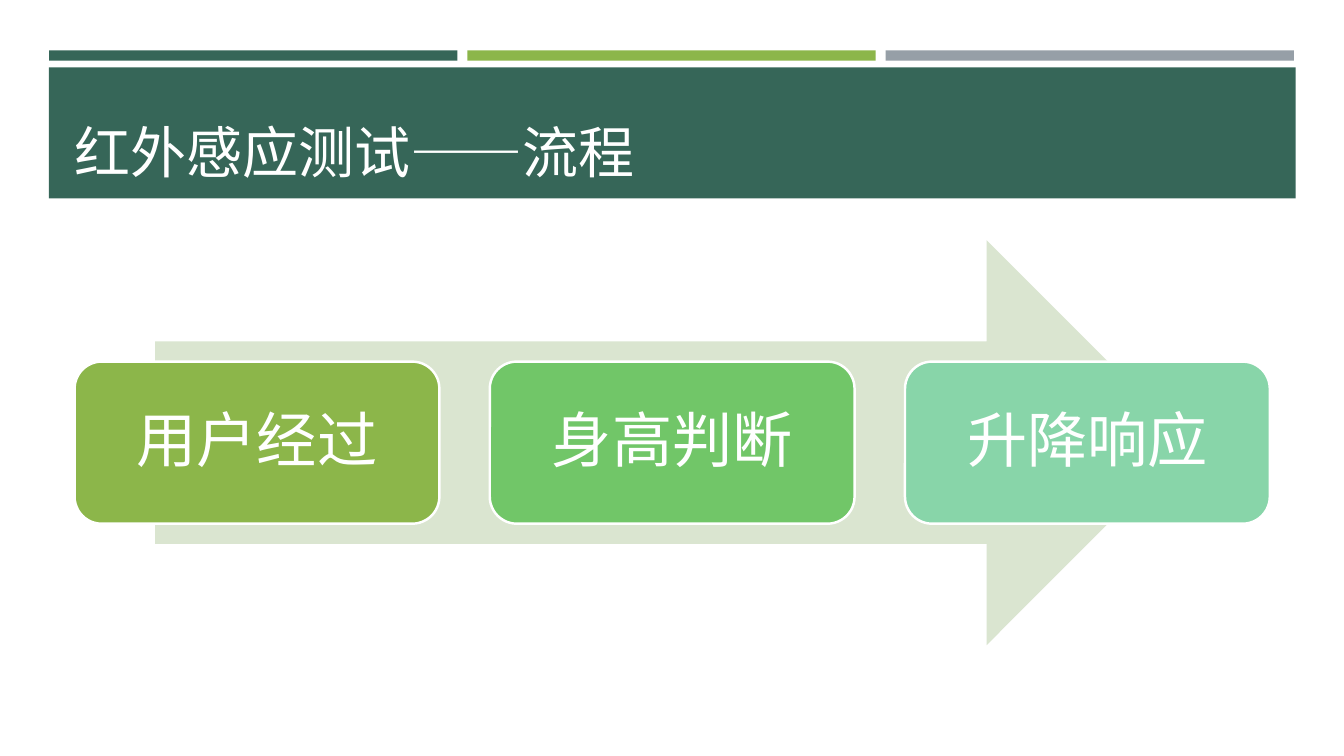
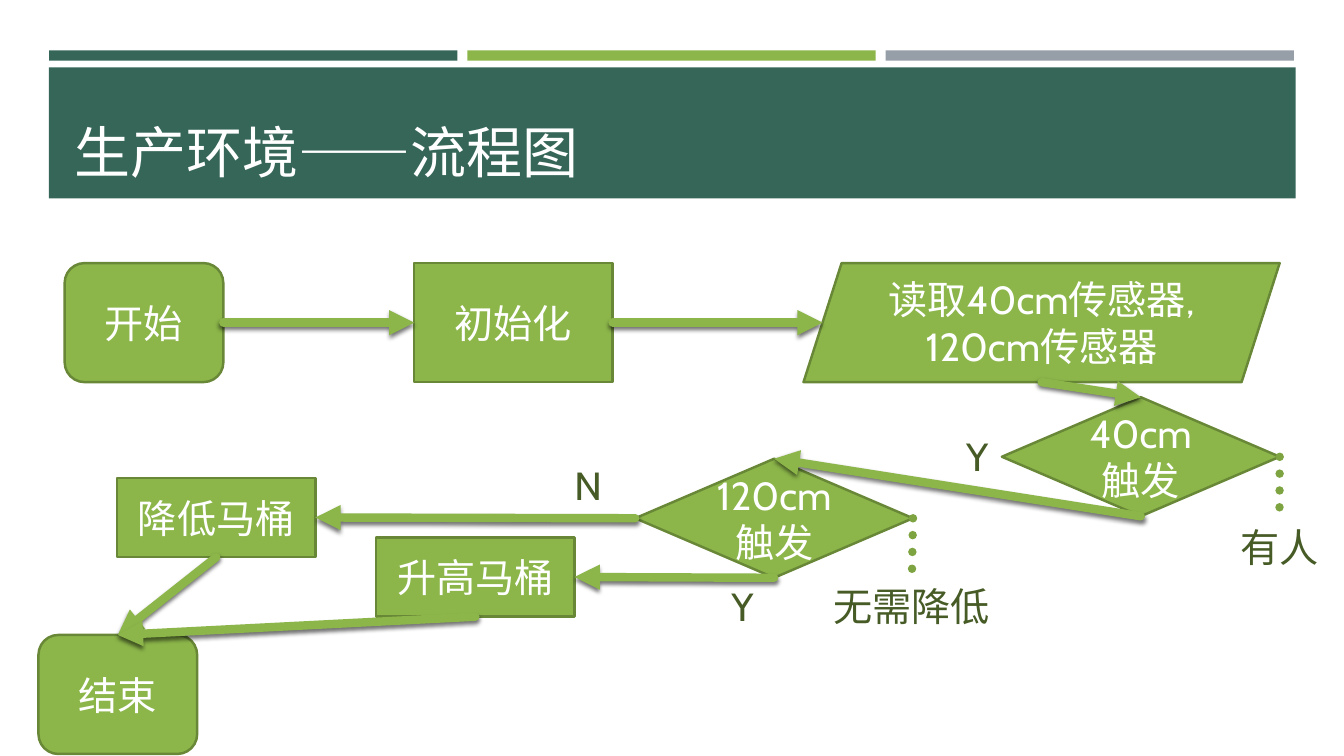
from collections import namedtuple

from lxml import etree
from pptx import Presentation
from pptx.dml.color import RGBColor
from pptx.enum.dml import MSO_LINE
from pptx.enum.lang import MSO_LANGUAGE_ID as Lang
from pptx.enum.shapes import MSO_CONNECTOR, MSO_SHAPE as Preset
from pptx.enum.text import MSO_ANCHOR as Anchor, MSO_AUTO_SIZE as AutoSize, PP_ALIGN as Align
from pptx.oxml.ns import qn
from pptx.util import Cm, Pt

Box = namedtuple("Box", "left top width height")

COLORS = {
    "pine": "366658", "leaf": "8CB64A", "steel": "969FA7", "white": "FFFFFF",
    "pale": "DAE5D0", "grass": "71C668", "mint": "88D5A9",
    "outline": "688737", "dots": "7EA442", "label": "465B25", "shadow": "000000",
}
FONT = "Cabin"
TITLE_BOX = Box(1.63, 1.96, 30.63, 2.82)
HEADER_BOX = Box(1.23, 1.7, 31.42, 3.3)
BANDS_BOX = Box(1.24, 1.27, 31.37, 0.26)
BANDS = ["pine", "leaf", "steel"]
BODY_FRAME = {"word_wrap": True, "auto_size": AutoSize.NONE, "vertical_anchor": Anchor.MIDDLE}
LABEL_FRAME = {"word_wrap": False, "auto_size": AutoSize.NONE, "vertical_anchor": Anchor.TOP}
TITLE_FRAME = {**BODY_FRAME, "vertical_anchor": Anchor.BOTTOM}
TOP, LEFT, BOTTOM, RIGHT = range(4)


def rgb(name):
    return RGBColor.from_string(COLORS[name])


def lengths(box):
    return [Cm(value) for value in box]


def apply(target, values):
    for name, value in values.items():
        setattr(target, name, value)


def write(shape, text, size, color, frame_format, align=Align.CENTER, **para_format):
    frame = shape.text_frame
    apply(frame, frame_format)
    para = frame.paragraphs[0]
    apply(para, {"alignment": align, **para_format})
    span = para.add_run()
    span.text = text
    apply(span.font, {"name": FONT, "size": Pt(size),
                      "language_id": Lang.SIMPLIFIED_CHINESE})
    span.font.color.rgb = rgb(color)


def add_block(page, preset, box, fill, outline=None):
    shape = page.shapes.add_shape(preset, *lengths(box))
    shape.shadow.inherit = False
    shape.fill.solid()
    shape.fill.fore_color.rgb = rgb(fill)
    if outline:
        shape.line.color.rgb = rgb(outline)
        shape.line.width = Pt(1.75)
    else:
        shape.line.fill.background()
    return shape


def columns(box, count, gap):
    """Split a box into equal columns."""
    width = (box.width - gap * (count - 1)) / count
    return [Box(box.left + i * (width + gap), box.top, width, box.height)
            for i in range(count)]


def add_page(deck, title):
    page = deck.slides.add_slide(deck.slide_layouts[5])
    for color, box in zip(BANDS, columns(BANDS_BOX, len(BANDS), 0.25)):
        add_block(page, Preset.RECTANGLE, box, color)
    add_block(page, Preset.RECTANGLE, HEADER_BOX, "pine")
    holder = page.shapes.title
    apply(holder, dict(zip(Box._fields, lengths(TITLE_BOX))))
    write(holder, title, 40, "white", TITLE_FRAME, Align.LEFT)
    page.shapes._spTree.append(holder._element)  # title in front of the header
    return page


def add_arrow_process(page, box, steps):
    """Place equal steps on a wide arrow that fills the height of the box."""
    inset = box.width * 0.0675
    add_block(page, Preset.RIGHT_ARROW,
              Box(box.left + inset, box.top, box.width - 2 * inset, box.height), "pale")
    row = Box(box.left, box.top + box.height * 0.3, box.width, box.height * 0.4)
    for (text, color), cell in zip(steps, columns(row, len(steps), 1.27)):
        step = add_block(page, Preset.ROUNDED_RECTANGLE, cell, color, "white")
        write(step, text, 43, "white", BODY_FRAME, line_spacing=0.9)


def edge_point(shape, side):
    """Return the middle of a side, on the slanted edge of a parallelogram."""
    x, y = shape.left + shape.width // 2, shape.top + shape.height // 2
    if side in (TOP, BOTTOM):
        return x, shape.top + (shape.height if side == BOTTOM else 0)
    slant = int(shape.height * shape.adjustments[0] / 2) if is_slanted(shape) else 0
    return (shape.left + slant if side == LEFT else shape.left + shape.width - slant), y


def is_slanted(shape):
    return (not shape.element.spPr.find(qn("a:prstGeom")) is None
            and shape.element.spPr.find(qn("a:prstGeom")).get("prst") == "parallelogram")


def join(page, start, end, dotted=False):
    """Link two (shape, side) ends with an arrow or a dotted line."""
    link = page.shapes.add_connector(MSO_CONNECTOR.STRAIGHT,
                                     *edge_point(*start), *edge_point(*end))
    if not is_slanted(start[0]):
        link.begin_connect(*start)
    if not is_slanted(end[0]):
        link.end_connect(*end)
    link.line.width = Pt(6)
    link.line.color.rgb = rgb("dots" if dotted else "leaf")
    outline = link.line._get_or_add_ln()
    outline.set("cap", "rnd")
    effects = etree.SubElement(link._element.spPr, qn("a:effectLst"))
    if dotted:
        link.line.dash_style = MSO_LINE.ROUND_DOT
        return
    etree.SubElement(outline, qn("a:tailEnd"), type="triangle")
    shadow = etree.SubElement(effects, qn("a:outerShdw"), blurRad=str(Pt(3)),
                              dist=str(Pt(2)), dir="5400000", rotWithShape="0")
    tint = etree.SubElement(shadow, qn("a:srgbClr"), val=COLORS["shadow"])
    etree.SubElement(tint, qn("a:alpha"), val="55000")


NODES = {
    "start": ("开始", Preset.ROUNDED_RECTANGLE, (0.66, 0, 4, 3)),
    "init": ("初始化", Preset.RECTANGLE, (9.47, 0, 5, 3)),
    "read": ("读取40cm传感器, 120cm传感器", Preset.PARALLELOGRAM, (19.28, 0, 12, 3)),
    "near": ("40cm触发", Preset.DIAMOND, (24.28, 3.38, 7, 3)),
    "far": ("120cm触发", Preset.DIAMOND, (15.04, 4.93, 7, 3)),
    "raise": ("升高马桶", Preset.RECTANGLE, (8.51, 6.91, 5, 2)),
    "lower": ("降低马桶", Preset.RECTANGLE, (1.98, 5.41, 5, 2)),
    "end": ("结束", Preset.ROUNDED_RECTANGLE, (0, 9.37, 4, 3)),
}
LABELS = {
    "occupied": ("有人", (30.02, 6.43, 2.51, 1.45)),
    "no need": ("无需降低", (19.76, 7.92, 4.5, 1.45)),
    "near yes": ("Y", (23.04, 4.14, 1.24, 1.45)),
    "far yes": ("Y", (17.12, 7.92, 1.24, 1.45)),
    "far no": ("N", (13.23, 4.88, 1.24, 1.45)),
}
ARROWS = [
    ("start", RIGHT, "init", LEFT), ("init", RIGHT, "read", LEFT),
    ("read", BOTTOM, "near", TOP), ("near", BOTTOM, "far", TOP),
    ("far", BOTTOM, "raise", RIGHT), ("far", LEFT, "lower", RIGHT),
    ("lower", BOTTOM, "end", TOP), ("raise", BOTTOM, "end", TOP),
]
DOTTED = [("near", RIGHT, "occupied", TOP), ("far", RIGHT, "no need", TOP)]


def add_flowchart(page, left, top):
    def place(spot):
        x, y, width, height = spot
        return Box(left + x, top + y, width, height)

    parts = {}
    for key, (text, preset, spot) in NODES.items():
        parts[key] = add_block(page, preset, place(spot), "leaf", "outline")
        if preset == Preset.PARALLELOGRAM:
            parts[key].adjustments[0] = 0.32
        write(parts[key], text, 28, "white", BODY_FRAME)
    for key, (text, spot) in LABELS.items():
        parts[key] = page.shapes.add_textbox(*lengths(place(spot)))
        write(parts[key], text, 28, "label", LABEL_FRAME)
    for links, dotted in ((ARROWS, False), (DOTTED, True)):
        for source, source_side, target, target_side in links:
            join(page, (parts[source], source_side), (parts[target], target_side), dotted)


def main():
    deck = Presentation()
    deck.slide_width, deck.slide_height = Cm(33.87), Cm(19.05)
    page = add_page(deck, "红外感应测试——流程")
    add_arrow_process(page, Box(1.88, 6.05, 30.12, 10.21),
                      [("用户经过", "leaf"), ("身高判断", "grass"), ("升降响应", "mint")])
    add_flowchart(add_page(deck, "生产环境——流程图"), 0.97, 6.63)
    deck.save("out.pptx")


if __name__ == "__main__":
    main()
